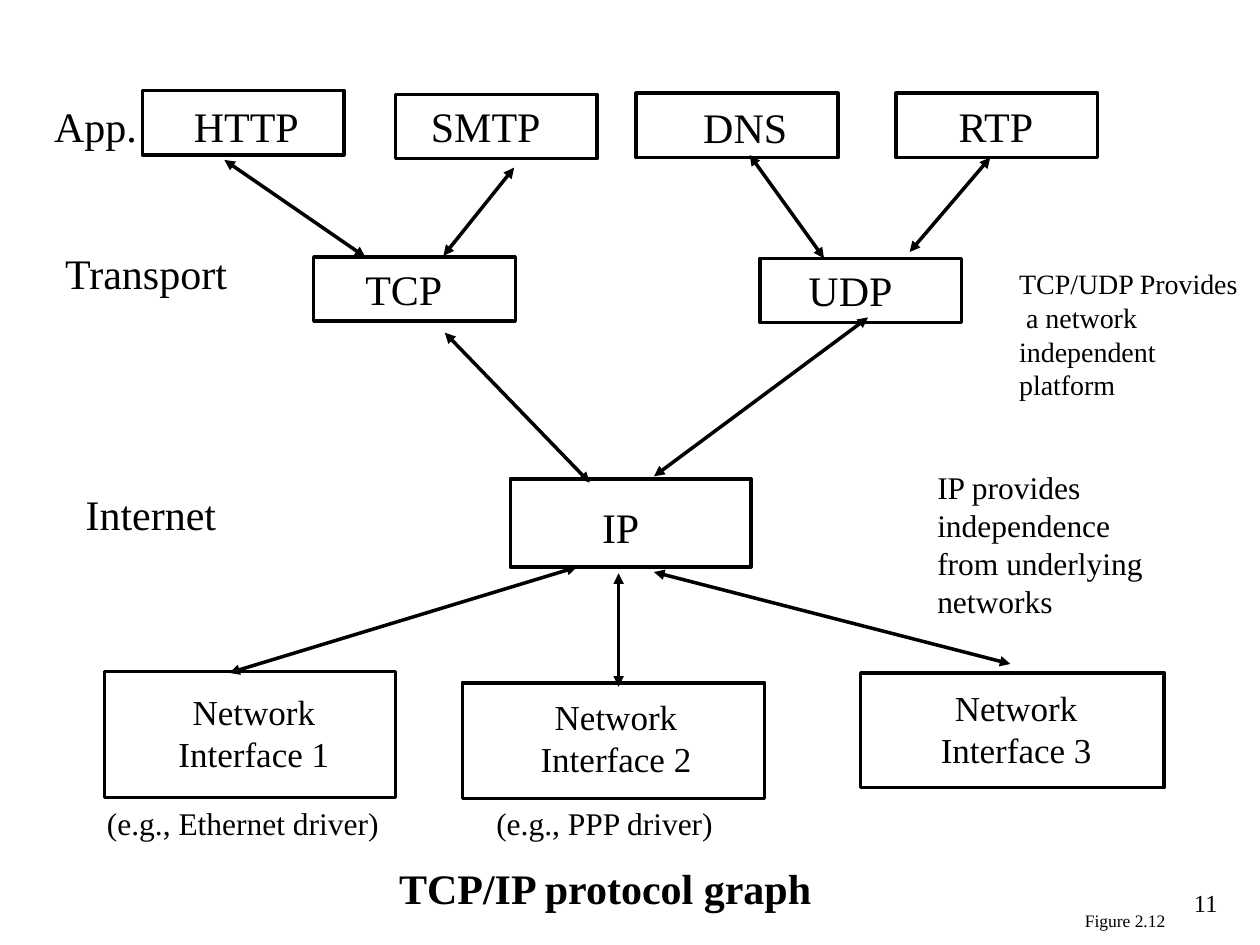
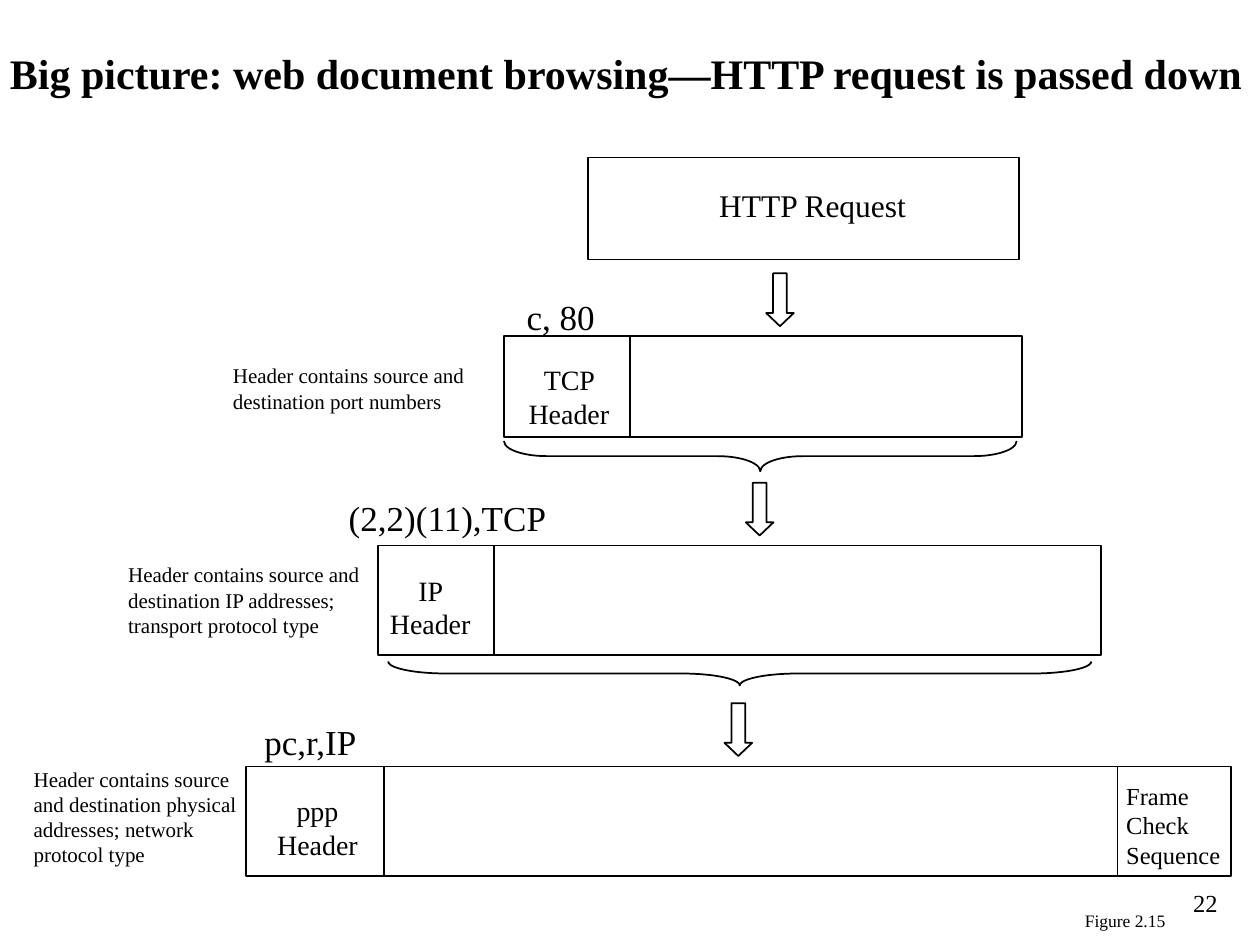
from lxml.etree import SubElement
from pptx import Presentation
from pptx.dml.color import RGBColor
from pptx.enum.shapes import MSO_CONNECTOR, MSO_SHAPE
from pptx.enum.text import MSO_ANCHOR, PP_ALIGN
from pptx.oxml.ns import qn
from pptx.util import Pt

COLORS = {"ink": "000000"}
FONT = "Times New Roman"
INK = RGBColor.from_string(COLORS["ink"])
MIDDLE = MSO_ANCHOR.MIDDLE
CENTER = PP_ALIGN.CENTER
LABEL_HEIGHT = 36
NODE_SIZE = (115.2, 36.7)


def add_text(slide, text, left, top, width, height=LABEL_HEIGHT, *, size=24, bold=False,
             align=PP_ALIGN.LEFT, anchor=MSO_ANCHOR.TOP, wrap=False, indents=None):
    """Add one paragraph per line; indents maps a line index to points."""
    box = slide.shapes.add_textbox(Pt(left), Pt(top), Pt(width), Pt(height))
    frame = box.text_frame
    frame.word_wrap = wrap
    frame.vertical_anchor = anchor
    frame.text = text
    for index, paragraph in enumerate(frame.paragraphs):
        paragraph.alignment = align
        if indents and index in indents:
            paragraph._p.get_or_add_pPr().set("marL", str(Pt(indents[index])))
        for run in paragraph.runs:
            run.font.name = FONT
            run.font.size = Pt(size)
            run.font.bold = bold
            run.font.color.rgb = INK


def add_outline(slide, kind, left, top, width, height, weight=1):
    shape = slide.shapes.add_shape(kind, Pt(left), Pt(top), Pt(width), Pt(height))
    shape.shadow.inherit = False
    shape.fill.background()
    shape.line.color.rgb = INK
    shape.line.width = Pt(weight)
    return shape


def add_line(slide, start, end, weight=1, arrows=False):
    connector = slide.shapes.add_connector(
        MSO_CONNECTOR.STRAIGHT, *(Pt(value) for value in (*start, *end)))
    connector.line.color.rgb = INK
    connector.line.width = Pt(weight)
    properties = connector._element.spPr
    if arrows:
        for end_tag in ("a:headEnd", "a:tailEnd"):
            SubElement(properties.find(qn("a:ln")), qn(end_tag), type="triangle")
    SubElement(properties, qn("a:effectLst"))


def add_node(slide, text, box, label, size=24):
    """Draw a protocol box (left, top, width, height) and its centred label."""
    add_outline(slide, MSO_SHAPE.RECTANGLE, *box, weight=2)
    add_text(slide, text, *label, size=size, align=CENTER, anchor=MIDDLE, wrap=size < 24)


def add_packet(slide, left, top, width, height, dividers=()):
    add_outline(slide, MSO_SHAPE.RECTANGLE, left, top, width, height)
    for x in dividers:
        add_line(slide, (x, top), (x, top + height))


def add_brace(slide, left, top, length, depth):
    """Draw a brace that lies under a packet and points down."""
    brace = add_outline(slide, MSO_SHAPE.LEFT_BRACE, left + (length - depth) / 2,
                        top - (length - depth) / 2, depth, length)
    brace.rotation = 270
    brace.adjustments[0] = length / depth / 12


def add_down_arrow(slide, left, top):
    arrow = add_outline(slide, MSO_SHAPE.DOWN_ARROW, left, top, 15.8, 30.2)
    arrow.adjustments[1] = 0.475


def add_footer(slide, figure, number):
    add_text(slide, number, 653.8, 504, 49, size=14, align=PP_ALIGN.RIGHT, wrap=True)
    add_text(slide, figure, 612.7, 516.2, 60.5, 19.4, size=10, align=CENTER, anchor=MIDDLE)


def build_protocol_graph(slide):
    protocols = [
        ("HTTP", (81.4, 51.8), (102.7, 54, 76.2)),
        ("SMTP", (226.1, 54), (235.9, 54, 83.4)),
        ("DNS", (363.6, 53.3), (392.1, 54.4, 67.5)),
        ("RTP", (511.9, 53.3), (536.8, 53.6, 64.6)),
        ("TCP", (179.3, 146.9), (200.1, 146.9, 61.3)),
        ("UDP", (434.2, 147.6), (452.5, 147.6, 67)),
    ]
    for name, corner, label in protocols:
        add_node(slide, name, (*corner, *NODE_SIZE), label)
    add_node(slide, "IP", (291.6, 273.6, 137.5, 50.4), (334.2, 283, 41))

    interfaces = [
        ((59.8, 383.8, 166.3, 72), (77.8, 391, 134.6, 55.4)),
        ((264.2, 390.2, 172.8, 66.2), (282.2, 393.8, 139.7, 55.4)),
        ((491.8, 384.5, 173.5, 65.5), (510.5, 388.8, 140.4, 55.4)),
    ]
    for number, (box, label) in enumerate(interfaces, 1):
        add_node(slide, f"Network Interface {number}", box, label, size=20)

    links = [
        ((128.2, 91.4), (208.8, 146.9)),
        ((253.4, 146.2), (293.8, 95.8)),
        ((470.9, 147.6), (428.4, 88.6)),
        ((519.8, 144), (565.9, 90)),
        ((337, 275.8), (254.2, 190.1)),
        ((373.7, 272.2), (496.1, 181.4)),
        ((131, 384.5), (329.8, 324)),
        ((353.5, 392.4), (353.5, 327.6)),
        ((577.4, 379.4), (373.7, 326.9)),
    ]
    for start, end in links:
        add_line(slide, start, end, weight=2, arrows=True)

    add_text(slide, "App.", 23.8, 54, 64)
    add_text(slide, "Transport", 30.2, 138.2, 111)
    add_text(slide, "Internet", 41.8, 275.8, 95)
    add_text(slide, "TCP/UDP Provides\na network\nindependent\nplatform",
             575.3, 149, 142, 84.2, size=16, indents={1: 4})
    add_text(slide, "IP provides\nindependence\nfrom underlying\nnetworks",
             528.5, 264.2, 135, 93.6, size=18)
    add_text(slide, "(e.g., Ethernet driver)", 54, 455.8, 173, 28.8, size=18)
    add_text(slide, "(e.g., PPP driver)", 276.5, 455.8, 142, 28.8, size=18)
    add_text(slide, "TCP/IP protocol graph", 221, 489.6, 255, bold=True)
    add_footer(slide, "Figure 2.12", "11")


def build_encapsulation(slide):
    add_text(slide, "Big picture: web document browsing—HTTP request is passed down",
             -1.4, 23.8, 721.4, bold=True)
    packets = [
        (336.2, 90, 246.2, 58.3, ()),
        (288, 192.2, 295.9, 57.6, (360,)),
        (216, 311.8, 413.3, 62.6, (282.2,)),
        (140.4, 438.1, 563, 62.6, (219.6, 638.6)),
    ]
    for packet in packets:
        add_packet(slide, *packet)
    for corner in ((437.8, 156.2), (426.2, 275.8), (414, 401.8)):
        add_down_arrow(slide, *corner)
    add_brace(slide, 288, 252, 293, 17.3)
    add_brace(slide, 221.8, 378, 401.8, 13.7)

    add_text(slide, "HTTP Request", 403.9, 103, 125, 28.8, size=18)
    headers = [
        ("TCP Header", 288, 203.8, 74.2),
        ("IP Header", 210.2, 324, 71.3),
        ("ppp Header", 139.7, 450, 83.5),
    ]
    for text, left, top, width in headers:
        add_text(slide, text, left, top, width, 45.4, size=16, align=CENTER, wrap=True)
    add_text(slide, "Frame Check Sequence", 636.5, 442.8, 72, 57.6, size=14, wrap=True)

    header_values = [
        ("c, 80", 293.8, 165.6, 56),
        ("(2,2)(11),TCP", 192.2, 280.1, 131),
        ("pc,r,IP", 144, 408.2, 95.8),
    ]
    for text, left, top, width in header_values:
        add_text(slide, text, left, top, width, 31.7, size=20)

    notes = [
        ("Header contains source and destination port numbers", 126, 203.8, 154.8, 36),
        ("Header contains source and destination IP addresses; transport protocol type",
         66.2, 317.5, 169.9, 50.4),
        ("Header contains source and destination physical addresses; network protocol type",
         12.2, 434.2, 136.8, 64.8),
    ]
    for note in notes:
        add_text(slide, *note, size=12, anchor=MIDDLE, wrap=True)
    add_footer(slide, "Figure 2.15", "22")


def main():
    presentation = Presentation()
    presentation.slide_width = Pt(720)
    presentation.slide_height = Pt(540)
    for build in (build_protocol_graph, build_encapsulation):
        build(presentation.slides.add_slide(presentation.slide_layouts[6]))
    presentation.save("out.pptx")


if __name__ == "__main__":
    main()
